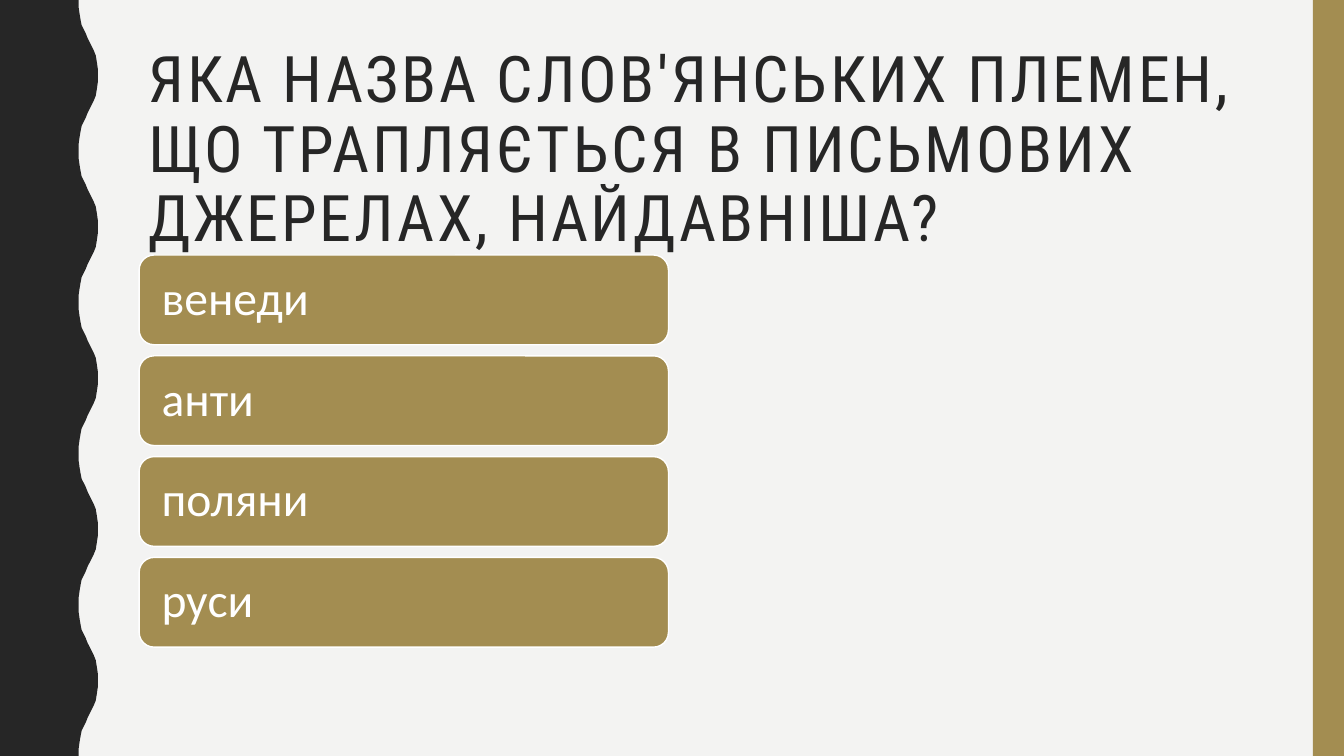
"""Build a quiz slide with a question and four answer bars."""
from pptx import Presentation
from pptx.dml.color import RGBColor as Rgb
from pptx.enum.shapes import MSO_SHAPE as Kind
from pptx.enum.text import MSO_ANCHOR as Anchor, MSO_AUTO_SIZE as Fit, PP_ALIGN as Align
from pptx.util import Pt

TITLE = "ЯКА НАЗВА СЛОВ'ЯНСЬКИХ ПЛЕМЕН, ЩО ТРАПЛЯЄТЬСЯ В ПИСЬМОВИХ ДЖЕРЕЛАХ, НАЙДАВНІША?"
ANSWERS = ["венеди", "анти", "поляни", "руси"]
COLORS = {"back": "F3F3F2", "dark": "262626", "gold": "A38D51", "white": "FFFFFF"}
PX = 9144
WIDE, HIGH = 1333, 750
TITLE_BOX = (137, 42, 1113, 163)
EDGE_BOX = (1302, 0, 31, HIGH)
BAR_X, BAR_Y, BAR_W, BAR_H, STEP = 138, 253, 525, 89, 100
PERIOD = 150
CURVE = [(78, 0), (78, 7), (79, 14), (80, 20), (81, 25), (83, 29), (85, 33), (87, 38),
         (89, 42), (91, 46), (93, 50), (95, 55), (96, 61), (97, 68), (97, 75)]


def emu(box):
    return [n * PX for n in box]


def tint(name):
    return Rgb.from_string(COLORS[name])


def paint(shape, name):
    shape.shadow.inherit = False
    shape.fill.solid()
    shape.fill.fore_color.rgb = tint(name)
    shape.line.fill.background()


def style(frame, face, size, name):
    para = frame.paragraphs[0]
    para.alignment = Align.LEFT
    para.line_spacing = 0.9
    font = para.runs[0].font
    font.name, font.size = face, Pt(size)
    font.color.rgb = tint(name)
    return font


def add_wave(shapes):
    wave = CURVE + [(x, PERIOD - y) for x, y in CURVE[-2::-1]]
    points = [(x, y + top) for top in range(0, HIGH, PERIOD) for x, y in wave]
    form = shapes.build_freeform(0, 0, scale=PX)
    form.add_line_segments(points + [(0, HIGH)], close=True)
    paint(form.convert_to_shape(), "dark")


def add_title(title):
    title.left, title.top, title.width, title.height = emu(TITLE_BOX)
    frame = title.text_frame
    frame.text = TITLE
    frame.word_wrap = True
    frame.auto_size = Fit.NONE
    frame.vertical_anchor = Anchor.TOP
    font = style(frame, "Roboto Condensed", 45.9, "dark")
    font._element.set("spc", "200")


def add_bar(shapes, row, text):
    box = (BAR_X, BAR_Y + row * STEP, BAR_W, BAR_H)
    bar = shapes.add_shape(Kind.ROUNDED_RECTANGLE, *emu(box))
    paint(bar, "gold")
    bar.line.color.rgb = tint("white")
    bar.line.width = Pt(1)
    frame = bar.text_frame
    frame.text = text
    frame.word_wrap = True
    frame.vertical_anchor = Anchor.MIDDLE
    frame.margin_left = frame.margin_right = 18 * PX
    style(frame, "Calibri", 34, "white")


def main():
    deck = Presentation()
    deck.slide_width, deck.slide_height = emu((WIDE, HIGH))
    slide = deck.slides.add_slide(deck.slide_layouts[5])
    slide.background.fill.solid()
    slide.background.fill.fore_color.rgb = tint("back")
    shapes = slide.shapes
    add_title(shapes.title)
    add_wave(shapes)
    paint(shapes.add_shape(Kind.RECTANGLE, *emu(EDGE_BOX)), "gold")
    for row, text in enumerate(ANSWERS):
        add_bar(shapes, row, text)
    deck.save("out.pptx")


if __name__ == "__main__":
    main()
